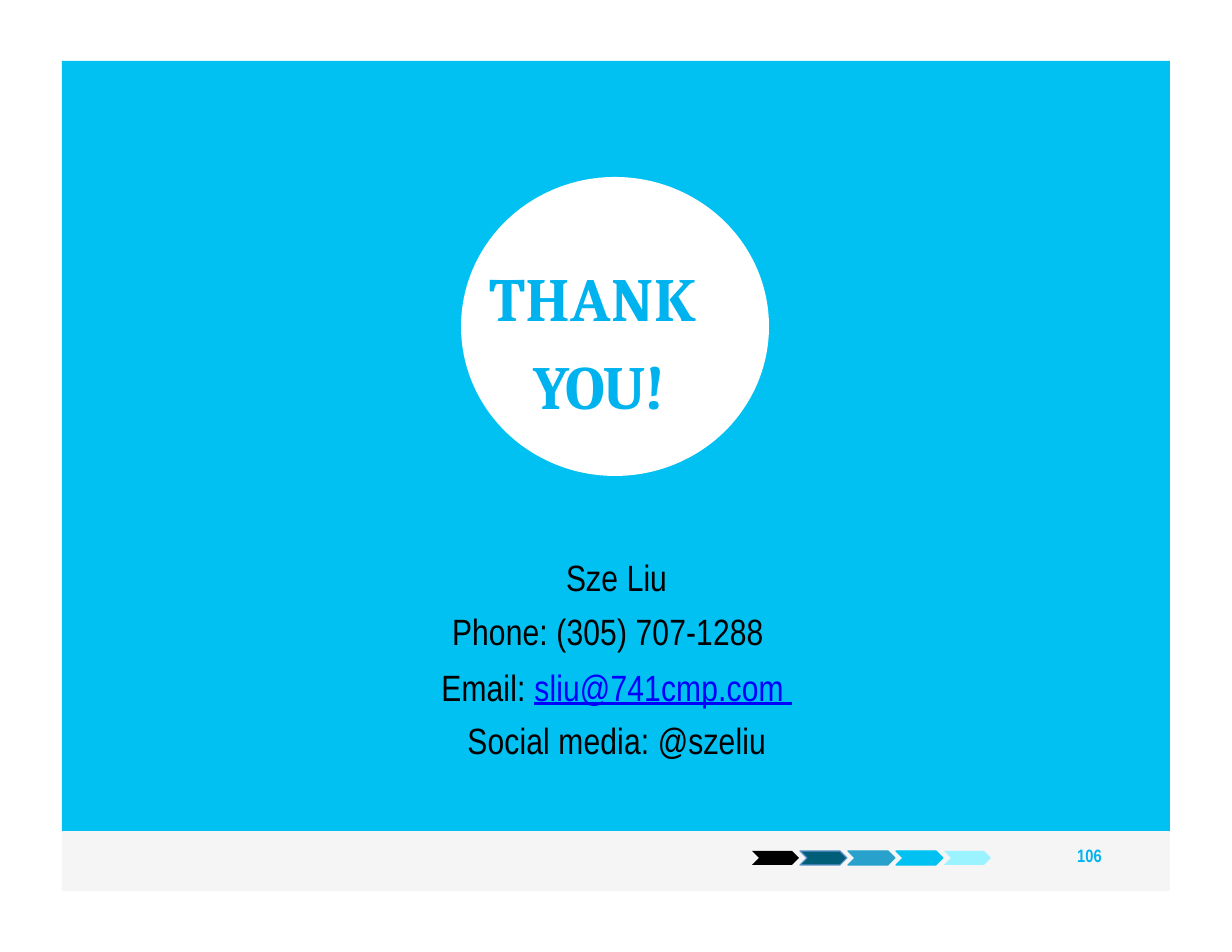
import pptx
import pptx.dml.color
import pptx.enum.shapes
import pptx.enum.text
import pptx.util

SHAPE = pptx.enum.shapes.MSO_SHAPE
ALIGN = pptx.enum.text.PP_ALIGN
PX = 914400 / 112

SKY, INK, LINK = "00C1F2", "00B3EF", "0000FF"
HEAD = {"name": "Cambria", "size": 39.5, "bold": True, "color": INK}
BODY = {"name": "Arial Narrow", "size": 23.5, "color": "000000"}
PAGE = {"name": "Arial Narrow", "size": 11.5, "bold": True, "color": INK}


def px(num):
    return pptx.util.Emu(round(num * PX))


def rgb(code):
    return pptx.dml.color.RGBColor.from_string(code)


def place(shape, box):
    for name, num in zip(("left", "top", "width", "height"), box):
        setattr(shape, name, px(num))


def draw(slide, kind, box, fill, line=None):
    shape = slide.shapes.add_shape(kind, *map(px, box))
    shape.shadow.inherit = False
    shape.fill.solid()
    shape.fill.fore_color.rgb = rgb(fill)
    if line:
        shape.line.color.rgb = rgb(line)
        shape.line.width = pptx.util.Pt(0.75)
    else:
        shape.line.fill.background()


def frame(shape, top):
    """Set up a wrapped, top-anchored text frame with only a top inset."""
    text = shape.text_frame
    form = {
        "word_wrap": True,
        "auto_size": pptx.enum.text.MSO_AUTO_SIZE.NONE,
        "vertical_anchor": pptx.enum.text.MSO_ANCHOR.TOP,
        "margin_left": 0, "margin_top": px(top),
        "margin_right": 0, "margin_bottom": 0,
    }
    for name, val in form.items():
        setattr(text, name, val)
    return text


def write(para, runs, font, form, left=0, hang=0):
    """Fill a paragraph with (text, letter spacing, font changes) runs."""
    props = para._p.get_or_add_pPr()
    props.set("marL", str(px(left)))
    props.set("indent", str(px(hang)))
    for name, val in form.items():
        setattr(para, name, val)
    for words, gap, extra in runs:
        run = para.add_run()
        run.text = words
        for name, val in {**font, **extra}.items():
            if name == "color":
                run.font.color.rgb = rgb(val)
            else:
                setattr(run.font, name, pptx.util.Pt(val) if name == "size" else val)
        run._r.get_or_add_rPr().set("spc", str(round(gap * 100)))


def title(slide):
    shape = slide.shapes.title
    place(shape, (488, 244, 255, 180))
    runs = [("TH", 0.4, {}), ("A", 0.3, {}), ("NK ", 0.7, {}), ("YOU!", -0.9, {})]
    form = {"alignment": ALIGN.LEFT, "line_spacing": 1.2}
    write(frame(shape, 1).paragraphs[0], runs, HEAD, form, 45, -44)


def contact(slide):
    text = frame(slide.shapes.add_textbox(*map(px, (426, 544, 381, 217))), 11)
    point = pptx.util.Pt
    mid = {"alignment": ALIGN.CENTER}
    tall = {**mid, "line_spacing": point(34.6)}
    mail = {"color": LINK, "underline": True}
    rows = [
        ([("Sze ", 0.1, {}), ("Liu", 0, {})], mid, 0),
        ([("Phone: (305) 707-1288", 0.1, {})],
         {"alignment": ALIGN.LEFT, "space_before": point(6.4)}, 26),
        ([("Email: ", 0.1, {}), ("sliu@741cmp.com ", 0.1, mail)],
         {**tall, "space_before": point(1.2)}, 1),
        ([("Social media: @szeliu", 0.1, {})], tall, 1),
    ]
    for num, (runs, form, left) in enumerate(rows):
        para = text.add_paragraph() if num else text.paragraphs[0]
        write(para, runs, BODY, form, left)


def footer(slide):
    draw(slide, SHAPE.RECTANGLE, (62, 831, 1108, 60), "F5F5F5")
    steps = [("000000", None), ("005E78", "5B92C7"), ("28A2CC", "28A2CC"),
             (SKY, SKY), ("9AF3FF", None)]
    for num, (fill, line) in enumerate(steps):
        draw(slide, SHAPE.CHEVRON, (752 + 48 * num, 851, 47, 14), fill, line)
    page = slide.shapes.add_textbox(*map(px, (1074, 843, 34, 26)))
    write(frame(page, 2).paragraphs[0], [("106", 0.1, {})], PAGE, {}, 3)


def main():
    deck = pptx.Presentation()
    deck.slide_width, deck.slide_height = px(1232), px(952)
    slide = deck.slides.add_slide(deck.slide_layouts[5])
    for top, high in ((162, 669), (61, 101)):
        draw(slide, SHAPE.RECTANGLE, (62, top, 1108, high), SKY)
    draw(slide, SHAPE.OVAL, (461, 177, 308, 299), "FFFFFF")
    # Bring the title placeholder in front of the circle
    slide.shapes._spTree.append(slide.shapes.title._element)
    title(slide)
    contact(slide)
    footer(slide)
    deck.save("out.pptx")


if __name__ == "__main__":
    main()
